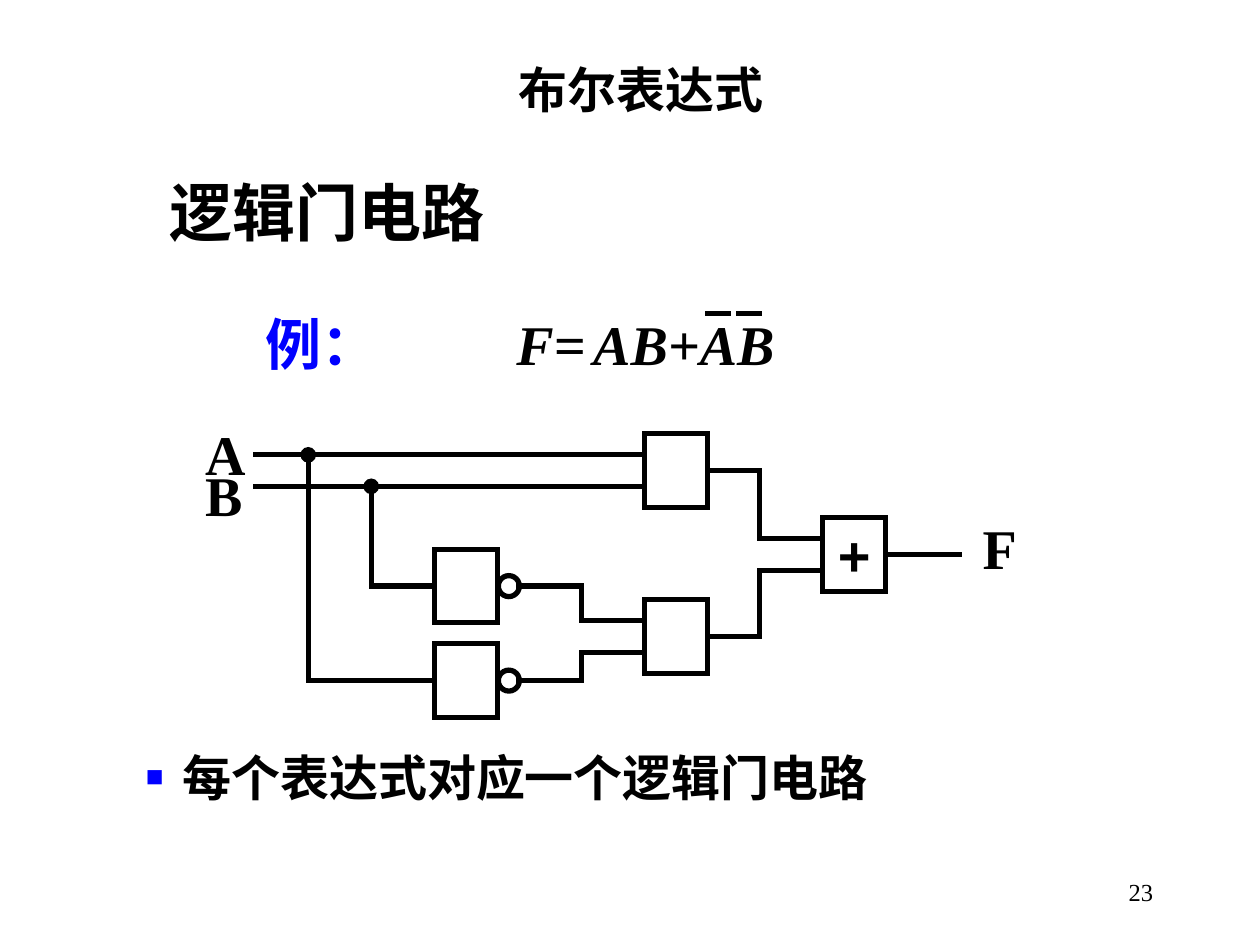
from dataclasses import dataclass
from itertools import pairwise

from lxml.etree import SubElement
from pptx import Presentation
from pptx.dml.color import RGBColor
from pptx.enum.shapes import MSO_CONNECTOR as Connector, MSO_SHAPE as Shape
from pptx.enum.text import MSO_ANCHOR as Anchor, PP_ALIGN as Align
from pptx.oxml.ns import qn
from pptx.util import Inches, Pt


@dataclass(frozen=True)
class Theme:
    """Colours, fonts and sizes of the slide."""
    ink: str = "000000"
    accent: str = "0000FF"
    sans: str = "Arial"
    serif: str = "Times New Roman"
    heading: int = 36
    formula: int = 32
    body: int = 28
    footer: int = 14
    line: int = 3


THEME = Theme()
WIDTH, HEIGHT = Inches(10), Inches(7.5)
CELL = Inches(1) // 12
ORIGIN_X, ORIGIN_Y = Inches(2.03), Inches(3.61)
GATE_WIDTH, GATE_HEIGHT, BUBBLE = 6, 7, 2
LEFT, RIGHT = 1, 3


def grid(column, row):
    """Return the slide position of a circuit grid point."""
    return ORIGIN_X + round(column * CELL), ORIGIN_Y + round(row * CELL)


def place(shape, left, top, width, height):
    """Place a shape by percentages of the slide's size."""
    shape.left, shape.width = (round(WIDTH * share / 100) for share in (left, width))
    shape.top, shape.height = (round(HEIGHT * share / 100) for share in (top, height))


def write(shape, text, size, font=THEME.sans, color=THEME.ink, bold=True,
          italic=False, align=Align.LEFT, anchor=Anchor.TOP, wrap=True):
    """Write one formatted run into a shape and return its paragraph."""
    frame = shape.text_frame
    frame.word_wrap, frame.vertical_anchor = wrap, anchor
    paragraph = frame.paragraphs[0]
    paragraph.alignment = align
    run = paragraph.add_run()
    run.text = text
    run.font.name, run.font.size = font, Pt(size)
    run.font.bold, run.font.italic = bold, italic
    run.font.color.rgb = RGBColor.from_string(color)
    return paragraph


def add_text(slide, box, text, size, **style):
    """Add a text box and return its paragraph."""
    shape = slide.shapes.add_textbox(0, 0, 0, 0)
    place(shape, *box)
    return write(shape, text, size, **style)


def add_bullet(paragraph):
    """Give a paragraph a small square bullet with a hanging indent."""
    properties = paragraph._p.get_or_add_pPr()
    properties.set("marL", str(Inches(0.29)))
    properties.set("indent", str(-Inches(0.29)))
    color = SubElement(properties, qn("a:buClr"))
    SubElement(color, qn("a:srgbClr"), val=THEME.accent)
    SubElement(properties, qn("a:buSzPct"), val="60000")
    SubElement(properties, qn("a:buFont"), typeface=THEME.sans)
    SubElement(properties, qn("a:buChar"), char="■")


def set_line(shape):
    """Apply the circuit stroke and return its XML element."""
    shape.line.width = Pt(THEME.line)
    shape.line.color.rgb = RGBColor.from_string(THEME.ink)
    stroke = shape.line._get_or_add_ln()
    stroke.set("cap", "sq")
    SubElement(stroke, qn("a:miter"), lim="800000")
    return stroke


def add_outline(slide, kind, column, row, width, height):
    """Add an unfilled outline on the circuit grid."""
    shape = slide.shapes.add_shape(
        kind, *grid(column, row), width * CELL, height * CELL)
    shape.fill.background()
    shape.shadow.inherit = False
    set_line(shape)
    return shape


def add_gate(slide, column, row):
    """Add a rectangular gate."""
    return add_outline(slide, Shape.RECTANGLE, column, row, GATE_WIDTH, GATE_HEIGHT)


def add_inverter(slide, column, row):
    """Add a gate with an output bubble."""
    gate = add_gate(slide, column, row)
    middle = row + (GATE_HEIGHT - BUBBLE) / 2
    add_outline(slide, Shape.OVAL, column + GATE_WIDTH + 0.1, middle, BUBBLE, BUBBLE)
    return gate


def add_wire(slide, *points, source=None, target=None, junction=False):
    """Add a wire through grid points, joined to gates at its ends."""
    wires = [slide.shapes.add_connector(Connector.STRAIGHT, *grid(*start), *grid(*end))
             for start, end in pairwise(points)]
    for wire in wires:
        stroke = set_line(wire)
        if junction and wire is wires[0]:
            SubElement(stroke, qn("a:headEnd"), type="oval", w="med", len="med")
        SubElement(wire._element.spPr, qn("a:effectLst"))
    if source is not None:
        wires[0].begin_connect(source, RIGHT)
    if target is not None:
        wires[-1].end_connect(target, LEFT)


def add_circuit(slide):
    """Draw the gates, wires and signal names."""
    invert_b, invert_a = (add_inverter(slide, 17, row) for row in (9, 18))
    and_top, and_bottom = (add_gate(slide, 37, row) for row in (-2, 13.8))
    or_gate = add_gate(slide, 54, 6)
    write(or_gate, "+", THEME.formula, align=Align.CENTER,
          anchor=Anchor.MIDDLE, wrap=False)
    for row in (0, 3):
        add_wire(slide, (0, row), (37, row))
    for column, row, middle, gate in ((11, 3, 12.5, invert_b), (5, 0, 21.5, invert_a)):
        add_wire(slide, (column, row), (column, middle), (17, middle),
                 target=gate, junction=True)
    for middle, row in ((12.5, 15.8), (21.5, 18.8)):
        add_wire(slide, (25, middle), (31, middle), (31, row), (37, row))
    for middle, row, gate in ((1.5, 8, and_top), (17.3, 11, and_bottom)):
        add_wire(slide, (43, middle), (48, middle), (48, row), (54, row), source=gate)
    add_wire(slide, (60, 9.5), (67, 9.5), source=or_gate)
    for name, left, top in (("A", 15.3, 43.73), ("B", 15.3, 48.13), ("F", 77, 53.73)):
        add_text(slide, (left, top, 7, 8.4), name, THEME.formula, font=THEME.serif)


def add_formula(slide):
    """Write the example formula with bars over the negated terms."""
    for text, left, width in (("F=", 40, 8), ("AB+AB", 46.1, 20.8)):
        add_text(slide, (left, 32.13, width, 8.4), text, THEME.formula,
                 font=THEME.serif, italic=True)
    for column in (43, 46):
        add_wire(slide, (column, -13.44), (column + 2, -13.44))


def main():
    """Build and save the slide."""
    presentation = Presentation()
    presentation.slide_width, presentation.slide_height = WIDTH, HEIGHT
    slide = presentation.slides.add_slide(presentation.slide_layouts[5])
    title = slide.shapes.title
    place(title, 15.4, 5.6, 70.9, 7.6)
    write(title, "布尔表达式", THEME.body, align=Align.CENTER)
    add_text(slide, (12.5, 17.73, 38.7, 9.47), "逻辑门电路", THEME.heading)
    add_text(slide, (20.1, 32.13, 20.5, 8.4), "例：", THEME.formula,
             font=THEME.serif, color=THEME.accent)
    add_formula(slide)
    add_circuit(slide)
    add_bullet(add_text(slide, (10.6, 78.4, 80.3, 7.6),
                        "每个表达式对应一个逻辑门电路", THEME.body))
    add_text(slide, (71.7, 91.07, 20.8, 6.67), "23", THEME.footer, font=THEME.serif,
             bold=False, align=Align.RIGHT, anchor=Anchor.MIDDLE)
    presentation.save("out.pptx")


if __name__ == "__main__":
    main()
